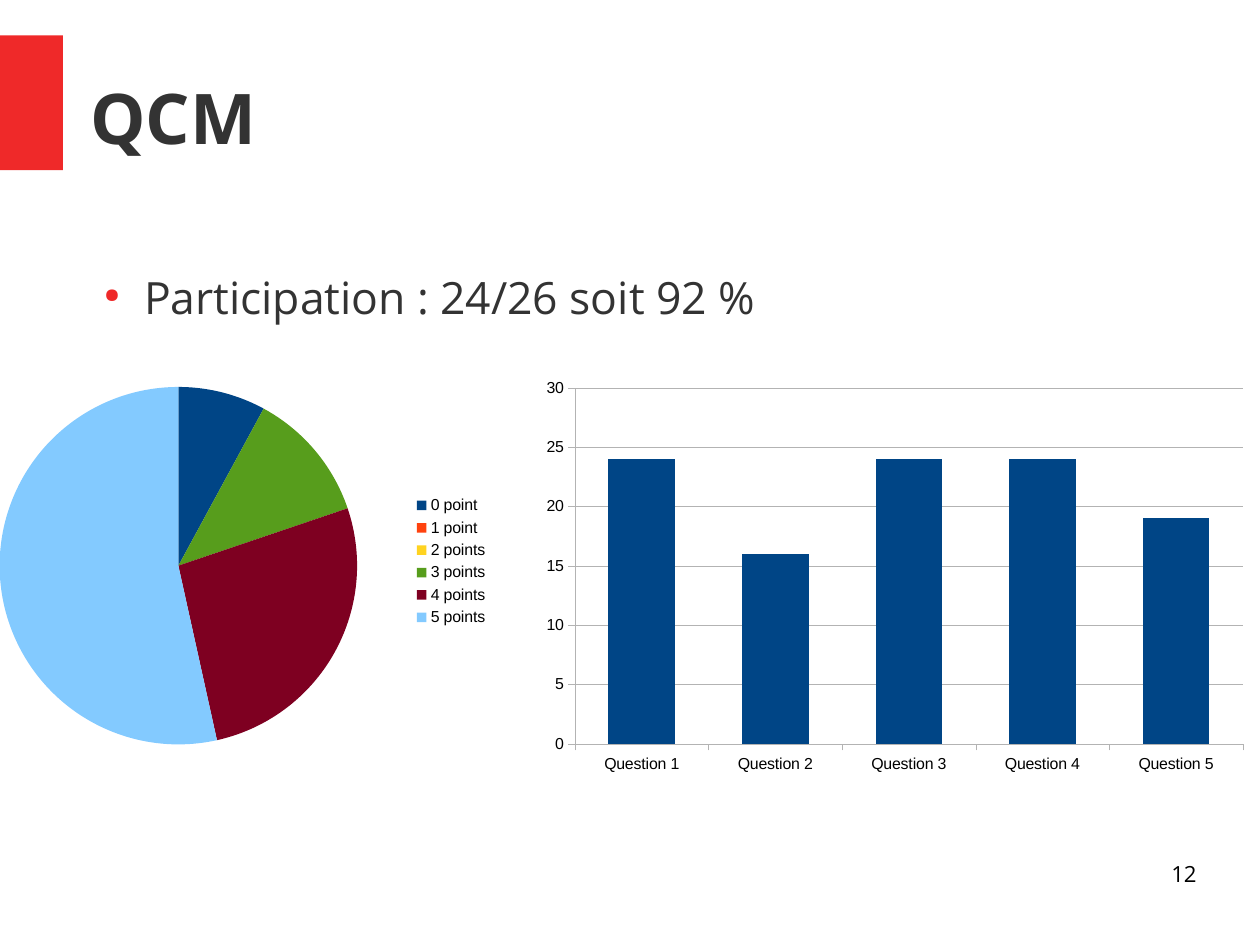
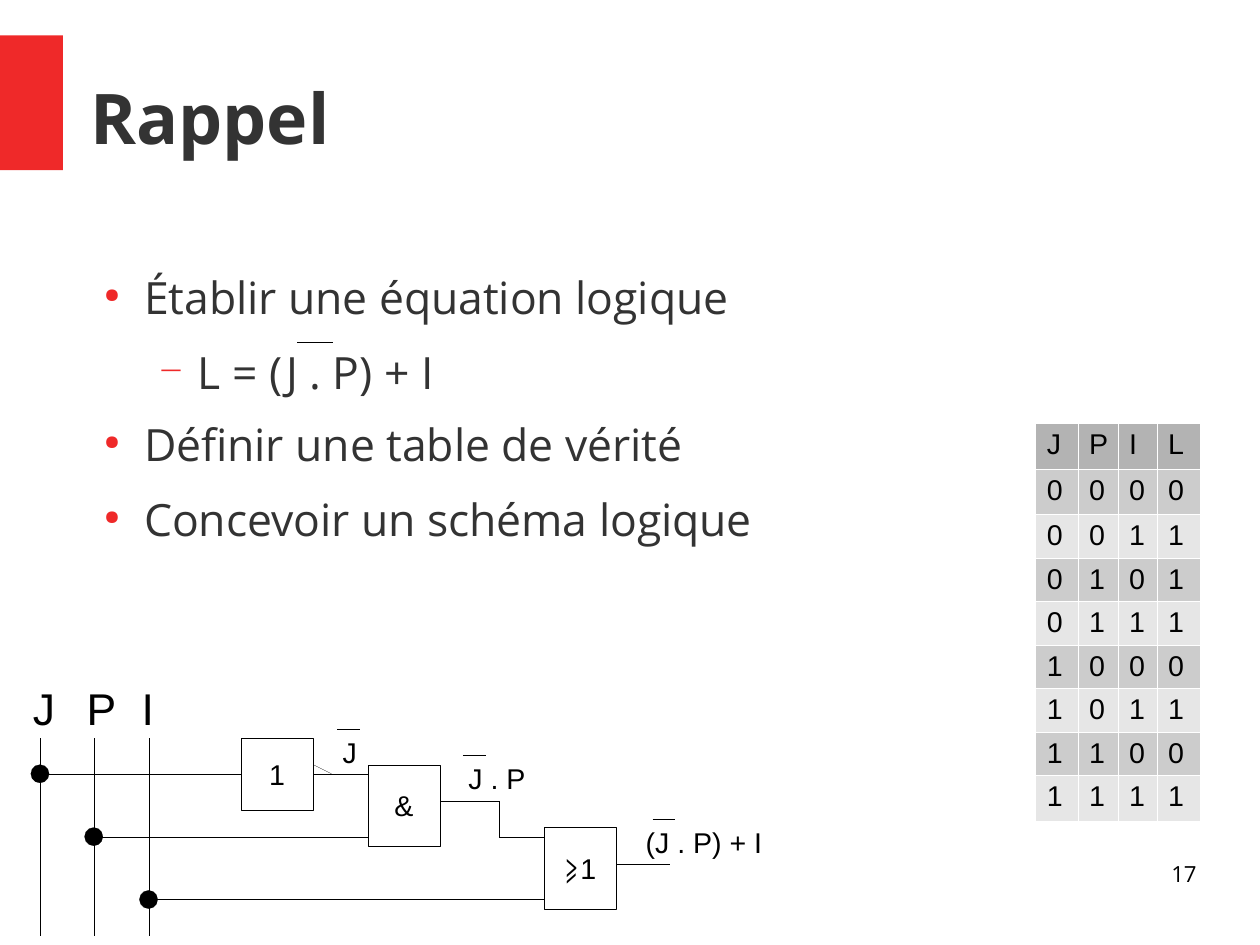
from lxml import etree
from pptx import Presentation
from pptx.chart.data import CategoryChartData
from pptx.dml.color import RGBColor
from pptx.enum.chart import XL_CHART_TYPE as ChartType, XL_LEGEND_POSITION as LegendPosition, XL_TICK_MARK as TickMark
from pptx.enum.shapes import MSO_CONNECTOR as Connector, MSO_SHAPE as Preset
from pptx.enum.text import MSO_ANCHOR as Anchor, MSO_AUTO_SIZE as AutoSize, PP_ALIGN as Align
from pptx.oxml import parse_xml
from pptx.oxml.ns import nsdecls, qn
from pptx.util import Cm, Inches, Pt

RED = "EF2929"
DARK = "333333"
BLACK = "000000"
WHITE = "FFFFFF"
GRID = "B3B3B3"
BAR_BLUE = "004586"
PIE_COLORS = [BAR_BLUE, "FF420E", "FFD320", "579D1C", "7E0021", "83CAFF"]
HEADING_FONT = "Open Sans"
DIAGRAM_FONT = "Arial"
BULLET_FONT = "OpenSymbol"
BULLETS = [("●", 45, 0.47, 14.1), ("−", 75, 0.94, 11.3)]
HAIRLINE = Pt(0.1)


def color(hex_value):
    return RGBColor.from_string(hex_value)


def box(left, top, width, height):
    return Inches(left), Inches(top), Inches(width), Inches(height)


def style_font(font, size, name, hex_value, bold=False):
    font.size = Pt(size)
    font.name = name
    font.bold = bold
    font.color.rgb = color(hex_value)


def add_run(paragraph, text, size, name=DIAGRAM_FONT, hex_value=BLACK, bold=False):
    run = paragraph.add_run()
    run.text = text
    style_font(run.font, size, name, hex_value, bold)


def clear_margins(frame):
    frame.margin_left = frame.margin_right = frame.margin_top = frame.margin_bottom = 0


def add_page(presentation, title, number):
    slide = presentation.slides.add_slide(presentation.slide_layouts[5])
    band = slide.shapes.add_shape(Preset.RECTANGLE, *box(0, 0.31, 0.55, 1.18))
    band.shadow.inherit = False
    band.fill.solid()
    band.fill.fore_color.rgb = color(RED)
    band.line.fill.background()

    heading = slide.shapes.title
    heading.left, heading.top, heading.width, heading.height = box(0.79, 0.33, 9.68, 1.38)
    frame = heading.text_frame
    clear_margins(frame)
    frame.auto_size = AutoSize.NONE
    frame.vertical_anchor = Anchor.MIDDLE
    paragraph = frame.paragraphs[0]
    paragraph.alignment = Align.LEFT
    add_run(paragraph, title, 44, HEADING_FONT, DARK, True)

    frame = slide.shapes.add_textbox(*box(7.9, 7.53, 2.57, 0.57)).text_frame
    clear_margins(frame)
    frame.word_wrap = True
    frame.paragraphs[0].alignment = Align.RIGHT
    add_run(frame.paragraphs[0], number, 14, HEADING_FONT)
    return slide


def add_bullets(slide, items):
    frame = slide.shapes.add_textbox(*box(0.79, 2.36, 9.45, 4.8)).text_frame
    clear_margins(frame)
    frame.word_wrap = True
    for index, (level, text) in enumerate(items):
        paragraph = frame.add_paragraph() if index else frame.paragraphs[0]
        symbol, percent, indent, gap = BULLETS[level]
        properties = paragraph._p.get_or_add_pPr()
        properties.set("marL", str(Inches(indent)))
        properties.set("indent", str(Inches(-0.35)))
        bullet_color = etree.SubElement(properties, qn("a:buClr"))
        etree.SubElement(bullet_color, qn("a:srgbClr")).set("val", RED)
        etree.SubElement(properties, qn("a:buSzPct")).set("val", str(percent * 1000))
        etree.SubElement(properties, qn("a:buFont")).set("typeface", BULLET_FONT)
        etree.SubElement(properties, qn("a:buChar")).set("char", symbol)
        paragraph.level = level
        paragraph.space_after = Pt(gap)
        add_run(paragraph, text, 28, HEADING_FONT, DARK)


def layout_element(target, x, y, width=None, height=None):
    values = [("xMode", "edge"), ("yMode", "edge"), ("x", x), ("y", y), ("w", width), ("h", height)]
    if width:
        values.insert(0, ("layoutTarget", "inner"))
    settings = "".join(f'<c:{tag} val="{value}"/>' for tag, value in values if value is not None)
    for previous in target.findall(qn("c:layout")):
        target.remove(previous)
    return parse_xml(f'<c:layout {nsdecls("c")}><c:manualLayout>{settings}</c:manualLayout></c:layout>')


def add_chart(slide, kind, place, categories, values, plot_place):
    data = CategoryChartData()
    data.categories = categories
    data.add_series("Series 1", values)
    chart = slide.shapes.add_chart(kind, *box(*place), data).chart
    chart.has_title = False
    chart.has_legend = False
    style_font(chart.font, 10, DIAGRAM_FONT, BLACK)
    plot_area = chart.element.xpath("c:chart/c:plotArea")[0]
    plot_area.insert(0, layout_element(plot_area, *plot_place))
    return chart


def style_line(line, hex_value):
    line.color.rgb = color(hex_value)
    line.width = HAIRLINE


def add_score_pie(slide):
    categories = [f"{points} point{'s' if points > 1 else ''}" for points in range(6)]
    chart = add_chart(slide, ChartType.PIE, (-0.94, 3.25, 5.75, 3.4), categories,
                      [8, 0, 0, 12, 27, 54], (0.16, 0.04, 0.55, 0.92))
    for index, hex_value in enumerate(PIE_COLORS):
        fill = chart.plots[0].series[0].points[index].format.fill
        fill.solid()
        fill.fore_color.rgb = color(hex_value)
    chart.has_legend = True
    chart.legend.position = LegendPosition.RIGHT
    chart.legend.include_in_layout = False
    style_font(chart.legend.font, 10, DIAGRAM_FONT, BLACK)
    legend = chart.element.xpath("c:chart/c:legend")[0]
    layout = layout_element(legend, 0.79, 0.31)
    position = legend.find(qn("c:legendPos"))
    if position is None:
        legend.insert(0, layout)
    else:
        position.addnext(layout)


def add_question_bars(slide):
    categories = [f"Question {number}" for number in range(1, 6)]
    chart = add_chart(slide, ChartType.COLUMN_CLUSTERED, (4.65, 3.25, 6.35, 3.58), categories,
                      [24, 16, 24, 24, 19], (0.06, 0.04, 0.92, 0.87))
    plot = chart.plots[0]
    plot.gap_width = 100
    plot.vary_by_categories = False
    fill = plot.series[0].format.fill
    fill.solid()
    fill.fore_color.rgb = color(BAR_BLUE)
    for axis in (chart.category_axis, chart.value_axis):
        axis.major_tick_mark = TickMark.OUTSIDE
        axis.minor_tick_mark = TickMark.NONE
        style_font(axis.tick_labels.font, 10, DIAGRAM_FONT, BLACK)
        style_line(axis.format.line, GRID)
    axis = chart.value_axis
    axis.minimum_scale, axis.maximum_scale, axis.major_unit = 0, 30, 5
    axis.has_major_gridlines = True
    style_line(axis.major_gridlines.format.line, GRID)


def add_wire(shapes, x1, y1, x2, y2):
    wire = shapes.add_connector(Connector.STRAIGHT, Inches(x1), Inches(y1), Inches(x2), Inches(y2))
    style_line(wire.line, BLACK)
    etree.SubElement(wire._element.spPr, qn("a:effectLst"))


def add_label(shapes, text, left, top, width, height, size=18, wrap=False):
    frame = shapes.add_textbox(*box(left, top, width, height)).text_frame
    frame.word_wrap = wrap
    add_run(frame.paragraphs[0], text, size)


def add_gate(shapes, text, left, top, height):
    gate = shapes.add_shape(Preset.RECTANGLE, *box(left, top, 0.63, height))
    gate.shadow.inherit = False
    gate.fill.background()
    style_line(gate.line, BLACK)
    frame = gate.text_frame
    frame.word_wrap = False
    frame.vertical_anchor = Anchor.MIDDLE
    frame.paragraphs[0].alignment = Align.CENTER
    add_run(frame.paragraphs[0], text, 18)


def add_junction(shapes, x, y):
    dot = shapes.add_shape(Preset.OVAL, *box(x - 0.08, y - 0.08, 0.16, 0.16))
    dot.shadow.inherit = False
    dot.fill.solid()
    dot.fill.fore_color.rgb = color(BLACK)
    style_line(dot.line, BLACK)


def add_circuit(slide):
    shapes = slide.shapes.add_group_shape().shapes
    inputs = [("J", 0.35, 6.77, 2.11), ("P", 0.82, 7.32, 3.22), ("I", 1.3, 7.87, 4.76)]
    for name, x, y, gate_left in inputs:
        add_wire(shapes, x, 6.46, x, 8.19)
        add_wire(shapes, x, y, gate_left, y)
        add_junction(shapes, x, y)
        add_label(shapes, name, x - 0.16, 5.91, 0.39, 0.55, 28, True)

    for text, left, top, height in [("1", 2.11, 6.46, 0.63), ("&", 3.22, 6.69, 0.71), ("⩾1", 4.76, 7.24, 0.71)]:
        add_gate(shapes, text, left, top, height)

    inverter = [(2.74, 6.77, 3.22, 6.77), (2.74, 6.69, 2.9, 6.77)]
    and_output = [(3.85, 7.01, 4.37, 7.01), (4.37, 7.01, 4.37, 7.32), (4.37, 7.32, 4.76, 7.32)]
    or_output = [(5.39, 7.56, 5.86, 7.56)]
    for points in inverter + and_output + or_output:
        add_wire(shapes, *points)

    outputs = [("J", 2.9, 6.38, 0.32, 2.95), ("J . P", 4, 6.61, 0.7, 4.05), ("(J . P) + I", 5.55, 7.17, 1.22, 5.71)]
    for text, left, top, width, overline in outputs:
        add_label(shapes, text, left, top, width, 0.38)
        add_wire(shapes, overline, top, overline + 0.2, top)


def add_cell_borders(cell):
    properties = cell._tc.get_or_add_tcPr()
    for side in "LRTB":
        properties.append(parse_xml(
            f'<a:ln{side} {nsdecls("a")} w="{Pt(0.06)}"><a:solidFill>'
            f'<a:srgbClr val="{WHITE}"/></a:solidFill></a:ln{side}>'))


def add_truth_table(slide):
    rows = ["JPIL"]
    for number in range(8):
        j, p, i = number >> 2, number >> 1 & 1, number & 1
        rows.append(f"{j}{p}{i}{int(not j and p or i)}")
    table = slide.shapes.add_table(len(rows), 4, *box(9.06, 3.7, 1.44, 3.51)).table
    table.first_row = table.horz_banding = False
    for column, width in zip(table.columns, [0.37, 0.35, 0.34, 0.38]):
        column.width = Inches(width)
    for row_index, values in enumerate(rows):
        table.rows[row_index].height = Inches(0.4 if row_index in (0, 1, 8) else 0.38)
        shade = ("CCCCCC" if row_index % 2 else "E6E6E6") if row_index else GRID
        for column_index, value in enumerate(values):
            cell = table.cell(row_index, column_index)
            cell.margin_bottom = Inches(0.03)
            add_cell_borders(cell)
            cell.fill.solid()
            cell.fill.fore_color.rgb = color(shade)
            add_run(cell.text_frame.paragraphs[0], value, 18)


def main():
    presentation = Presentation()
    presentation.slide_width, presentation.slide_height = Cm(28), Cm(21)

    slide = add_page(presentation, "QCM", "12")
    add_bullets(slide, [(0, "Participation : 24/26 soit 92 %")])
    add_question_bars(slide)
    add_score_pie(slide)

    slide = add_page(presentation, "Rappel", "17")
    add_bullets(slide, [(0, "Établir une équation logique"), (1, "L = (J . P) + I"),
                        (0, "Définir une table de vérité"), (0, "Concevoir un schéma logique")])
    add_wire(slide.shapes, 2.6, 2.99, 2.91, 2.99)
    add_truth_table(slide)
    add_circuit(slide)

    presentation.save("out.pptx")


if __name__ == "__main__":
    main()
